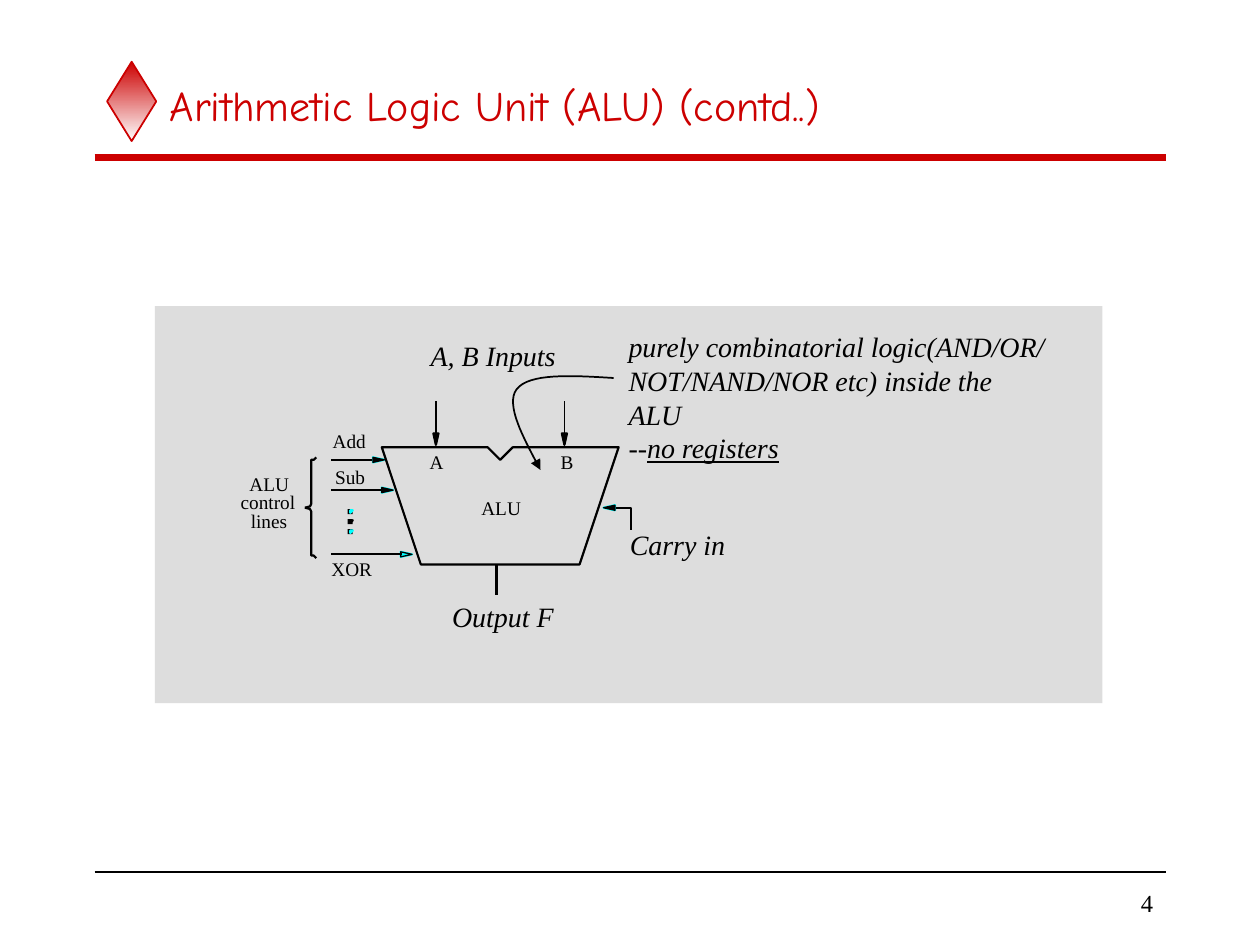
import lxml.etree
import pptx
import pptx.dml.color
import pptx.enum.dml
import pptx.enum.shapes
import pptx.enum.text
import pptx.oxml.ns
import pptx.util

RED = pptx.dml.color.RGBColor(0xCC, 0x00, 0x00)
BLACK = pptx.dml.color.RGBColor(0x00, 0x00, 0x00)
WHITE = pptx.dml.color.RGBColor(0xFF, 0xFF, 0xFF)
GREY = pptx.dml.color.RGBColor(0xDD, 0xDD, 0xDD)
CYAN = pptx.dml.color.RGBColor(0x00, 0xFF, 0xFF)

MSO_SHAPE = pptx.enum.shapes.MSO_SHAPE
ANCHOR = pptx.enum.text.MSO_ANCHOR
ALIGN = pptx.enum.text.PP_ALIGN
GROW = pptx.enum.text.MSO_AUTO_SIZE.SHAPE_TO_FIT_TEXT

SERIF = "Times New Roman"
LABEL = {"name": SERIF, "size": pptx.util.Pt(11)}
CAPTION = {"name": SERIF, "size": pptx.util.Pt(16), "italic": True}
TITLE = {"name": "Comic Neue", "size": pptx.util.Pt(24)}
NUMBER = {"name": SERIF, "size": pptx.util.Pt(14)}
TIGHT = {"word_wrap": False, "auto_size": GROW, "margin_left": 0,
         "margin_right": 0, "margin_top": 0, "margin_bottom": 0}
PADDED = {"word_wrap": False, "auto_size": GROW}


def inch(n):
    return pptx.util.Cm(n * 2.54)


def set_all(obj, values):
    for name, value in values.items():
        setattr(obj, name, value)


def paint(sp, fill=None, line=None, width=1.25):
    sp.shadow.inherit = False
    if fill is None:
        sp.fill.background()
    else:
        sp.fill.solid()
        sp.fill.fore_color.rgb = fill
    if line is None:
        sp.line.fill.background()
    else:
        sp.line.color.rgb = line
        sp.line.width = pptx.util.Pt(width)


def add_preset(shapes, kind, box, **look):
    sp = shapes.add_shape(kind, *map(inch, box))
    paint(sp, **look)
    return sp


def add_path(shapes, points, close=False, **look):
    pts = [(inch(x), inch(y)) for x, y in points]
    builder = shapes.build_freeform(*pts[0])
    builder.add_line_segments(pts[1:], close=close)
    sp = builder.convert_to_shape()
    paint(sp, **look)
    return sp


def add_line(shapes, start, end, color=BLACK, width=1.25):
    kind = pptx.enum.shapes.MSO_CONNECTOR.STRAIGHT
    line = shapes.add_connector(kind, *map(inch, start + end))
    line.line.color.rgb = color
    line.line.width = pptx.util.Pt(width)
    sp_pr = line._element.spPr
    lxml.etree.SubElement(sp_pr, pptx.oxml.ns.qn("a:effectLst"))


def add_text(shapes, box, lines, font, frame, color=BLACK, align=None):
    tf = shapes.add_textbox(*map(inch, box)).text_frame
    set_all(tf, frame)
    for i, runs in enumerate(lines):
        p = tf.add_paragraph() if i else tf.paragraphs[0]
        p.alignment = align
        for text, extra in runs:
            r = p.add_run()
            r.text = text
            set_all(r.font, {**font, **extra})
            r.font.color.rgb = color


def add_head(shapes, tip, dx, dy, fill=BLACK, edge=CYAN):
    x, y = tip
    bx, by = x - 0.09 * dx, y - 0.09 * dy
    ox, oy = 0.02 * dy, 0.02 * dx
    points = [(bx + ox, by + oy), tip, (bx - ox, by - oy), (bx, by), (bx + ox, by + oy)]
    add_path(shapes, points, line=edge)
    add_path(shapes, points, close=True, fill=fill, line=BLACK, width=0)


def add_dot(shapes, y, edge):
    x = 2.78
    add_preset(shapes, MSO_SHAPE.RECTANGLE, (x - 0.02, y, 0.04, 0.04), fill=BLACK)
    y += 0.01
    add_path(shapes, [(x, y), (x, y + 0.02), (x + 0.02, y), (x, y)], line=edge)


def add_brace(shapes):
    middle = 4.03
    half = [(2.51, 0.4), (2.49, 0.38), (2.47, 0.38), (2.47, 0.03), (2.46, 0.01), (2.42, 0)]
    for sign in (-1, 1):
        add_path(shapes, [(x, middle + sign * dy) for x, dy in half], line=BLACK)


def bezier(a, b, c, d, steps=16):
    for i in range(1, steps + 1):
        t = i / steps
        u = 1 - t
        weights = (u ** 3, 3 * u * u * t, 3 * u * t * t, t ** 3)
        yield tuple(sum(w * p[k] for w, p in zip(weights, (a, b, c, d))) for k in (0, 1))


def add_pointer(shapes):
    start, bend, end = (4.87, 3), (4.1, 3.09), (4.29, 3.73)
    points = [start, *bezier(start, (4.53, 2.98), (4.2, 2.96), bend),
              *bezier(bend, (4.01, 3.21), (4.15, 3.47), end)]
    sp = add_path(shapes, points, line=BLACK, width=1)
    ln = sp.line._get_or_add_ln()
    lxml.etree.SubElement(ln, pptx.oxml.ns.qn("a:tailEnd"), type="triangle")


def add_frame(shapes):
    sp = add_preset(shapes, MSO_SHAPE.DIAMOND, (0.85, 0.49, 0.39, 0.63), line=RED, width=1)
    sp.fill.gradient()
    sp.fill.gradient_angle = 270
    for stop, color in zip(sp.fill.gradient_stops, (RED, WHITE)):
        stop.color.rgb = color
    add_line(shapes, (0.75, 1.25), (9.25, 1.25), RED, 4)
    add_line(shapes, (0.75, 6.92), (9.25, 6.92), width=1)
    add_text(shapes, (7.83, 7, 1.42, 0.33), [[("4", {})]], NUMBER,
             {"word_wrap": False, "vertical_anchor": ANCHOR.MIDDLE}, align=ALIGN.RIGHT)
    add_text(shapes, (1.25, 0.5, 8, 0.67), [[("Arithmetic Logic Unit (ALU) (contd..)", {})]],
             TITLE, {"word_wrap": True, "vertical_anchor": ANCHOR.MIDDLE}, RED)


def add_diagram(shapes):
    add_preset(shapes, MSO_SHAPE.RECTANGLE, (1.23, 2.43, 7.52, 3.15), fill=GREY)
    for tip, y, end, fill in ((3.05, 3.65, 2.95, BLACK), (3.12, 3.89, 3.03, BLACK),
                              (3.27, 4.4, 3.19, CYAN)):
        add_head(shapes, (tip, y), 1, 0, fill)
        add_line(shapes, (end, y), (2.63, y))
    add_head(shapes, (4.79, 4.03), -1, 0)
    add_path(shapes, [(4.89, 4.03), (5.01, 4.03), (5.01, 4.21)], line=BLACK)
    add_path(shapes, [(3.97, 3.65), (3.87, 3.55), (3.03, 3.55), (3.34, 4.48), (4.6, 4.48),
                      (4.91, 3.55), (4.07, 3.55), (3.97, 3.65)], line=BLACK)
    add_line(shapes, (3.94, 4.72), (3.94, 4.48))
    for x in (3.46, 4.48):
        add_head(shapes, (x, 3.53), 0, 1, edge=BLACK)
        add_line(shapes, (x, 3.44), (x, 3.18), width=1)
    for y, edge in ((4.04, CYAN), (4.12, BLACK), (4.2, CYAN)):
        add_dot(shapes, y, edge)
    add_brace(shapes)
    for text, x, y, w in (("ALU", 3.82, 3.94, 0.38), ("Add", 2.64, 3.41, 0.32),
                          ("XOR", 2.63, 4.42, 0.38), ("Sub", 2.66, 3.69, 0.3),
                          ("ALU", 1.98, 3.75, 0.38), ("control", 1.91, 3.89, 0.5),
                          ("lines", 1.99, 4.04, 0.35), ("A", 3.41, 3.57, 0.17),
                          ("B", 4.45, 3.57, 0.16)):
        add_text(shapes, (x, y, w, 0.18), [[(text, {})]], LABEL, TIGHT)
    for text, x, y, w in (("A, B Inputs", 3.32, 2.64, 1.25), ("Output F", 3.49, 4.71, 1.1),
                          ("Carry in", 4.9, 4.14, 1.02)):
        add_text(shapes, (x, y, w, 0.37), [[(text, {})]], CAPTION, PADDED)
    note = [[("purely combinatorial logic(AND/OR/", {})],
            [("NOT/NAND/NOR etc) inside the", {})],
            [("ALU", {})],
            [("--", {}), ("no registers", {"underline": True})]]
    add_text(shapes, (4.89, 2.57, 3.57, 1.17), note, CAPTION, PADDED)
    add_pointer(shapes)


def main():
    """Build the ALU slide and save it."""
    prs = pptx.Presentation()
    set_all(prs, {"slide_width": inch(10), "slide_height": inch(7.5)})
    s = prs.slides.add_slide(prs.slide_layouts[6])
    add_frame(s.shapes)
    add_diagram(s.shapes.add_group_shape().shapes)
    prs.save("out.pptx")


if __name__ == "__main__":
    main()
